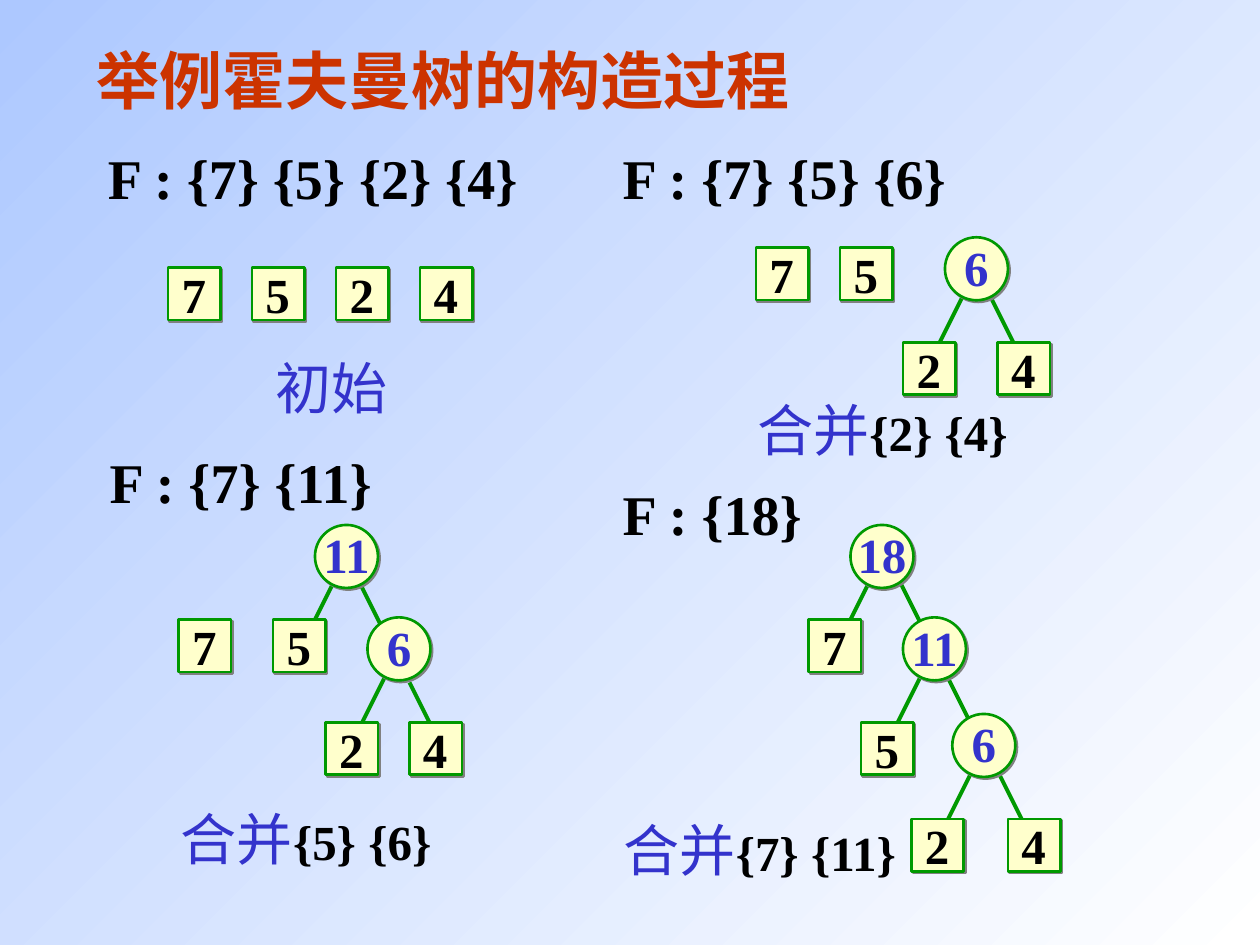
from lxml import etree
from pptx import Presentation
from pptx.dml.color import RGBColor
from pptx.enum.shapes import MSO_CONNECTOR, MSO_SHAPE
from pptx.enum.text import MSO_ANCHOR, MSO_AUTO_SIZE, PP_ALIGN
from pptx.oxml.ns import qn
from pptx.util import Inches, Pt

RECT, OVAL = MSO_SHAPE.RECTANGLE, MSO_SHAPE.OVAL
LINE = MSO_CONNECTOR.STRAIGHT
MID, FIT = MSO_ANCHOR.MIDDLE, MSO_AUTO_SIZE.SHAPE_TO_FIT_TEXT
LEFT, MAIN = PP_ALIGN.LEFT, PP_ALIGN.CENTER

COLORS = {"sky": "ADC8FF", "white": "FFFFFF", "title": "CC3300", "text": "000000",
          "blue": "3333CC", "node": "FFFFCC", "edge": "009900", "shade": "808080"}
FORMATS = {
    "title": {"size": 36, "bold": True, "color": "title"},
    "head": {"size": 32, "bold": True, "color": "text"},
    "step": {"size": 32, "bold": False, "color": "blue"},
    "leaf": {"size": 28, "bold": True, "color": "text"},
    "sum": {"size": 28, "bold": True, "color": "blue"},
}

# Content: all lengths are steps of a grid with twelve steps to the inch
TITLE = ("举例霍夫曼树的构造过程", (8, 3, 71, 8.75))
# Each stage: heading, caption, leaves and sums (label, column, row),
# and links (column, row, direction: -1 down left, 1 down right)
STAGES = [
    {"head": ("F : {7} {5} {2} {4}", (9, 13, 41.6)),
     "note": ("初始", "", (25, 33, 13.1)),
     "leaves": [("7", 16, 25.5), ("5", 24, 25.5), ("2", 32, 25.5), ("4", 40, 25.5)],
     "sums": [], "links": []},
    {"head": ("F : {7} {5} {6}", (58, 13, 33.4)),
     "note": ("合并", "{2} {4}", (70.3, 37, 27.5)),
     "leaves": [("7", 72, 23.6), ("5", 80, 23.6), ("2", 86, 32.6), ("4", 95, 32.6)],
     "sums": [("6", 90, 22.6)],
     "links": [(94, 27.6, 1), (92, 27.6, -1)]},
    {"head": ("F : {7} {11} ", (9, 42, 29.2)),
     "note": ("合并", "{5} {6}", (15.4, 76, 27.5)),
     "leaves": [("7", 17, 59), ("5", 26, 59), ("2", 31, 68.8), ("4", 39, 68.8)],
     "sums": [("6", 35, 58.8), ("11", 30, 50)],
     "links": [(32, 55, -1), (34, 55, 1), (39, 65, 1), (37, 63.8, -1)]},
    {"head": ("F : {18} ", (58, 45, 21)),
     "note": ("合并", "{7} {11}", (57.4, 77, 29.9)),
     "leaves": [("7", 77, 59), ("5", 82, 68.8), ("2", 86.8, 78), ("4", 96, 78)],
     "sums": [("11", 86, 58.8), ("18", 81, 50), ("6", 90.7, 68)],
     "links": [(83, 55, -1), (85, 54, 1), (90, 64, 1), (88, 63.8, -1),
               (94.8, 73, 1), (92.8, 73, -1)]},
]
ROW = 7.7              # height of headings and captions
LEG = (3, 6)           # run and drop of every link
# Node kinds: shape, side, label box (shift right, shift down, width, height)
KINDS = {"leaf": (RECT, 5, (0.1, -0.9, 4.7, 6.8)),
         "sum": (OVAL, 6, (-1, -0.6, 8, 6.8))}


def grid(*steps):
    return [Inches(step / 12) for step in steps]


def tint(name):
    return RGBColor.from_string(COLORS[name])


def write(shapes, box, runs, align=MAIN, wrap=False):
    frame = shapes.add_textbox(*grid(*box)).text_frame
    frame.word_wrap, frame.auto_size = wrap, FIT
    frame.vertical_anchor = MID
    para = frame.paragraphs[0]
    para.alignment = align
    for text, kind in runs:
        run = para.add_run()
        run.text = text
        run.font.name = "Times New Roman"
        for key, value in FORMATS[kind].items():
            if key == "color":
                run.font.color.rgb = tint(value)
            else:
                setattr(run.font, key, Pt(value) if key == "size" else value)
    return para


def effects(shape):
    shape.shadow.inherit = False
    return shape._element.spPr.find(qn("a:effectLst"))


def node(shapes, kind, col, row):
    form, side, _ = KINDS[kind]
    shape = shapes.add_shape(form, *grid(col, row, side, side))
    shape.fill.solid()
    shape.fill.fore_color.rgb = tint("node")
    shape.line.color.rgb = tint("edge")
    shape.line.width = Pt(1.5)
    shade = etree.SubElement(effects(shape), qn("a:outerShdw"), dist=str(Pt(1.4)),
                             dir="2700000", algn="ctr", rotWithShape="0")
    etree.SubElement(shade, qn("a:srgbClr"), val=COLORS["shade"])


def link(shapes, col, row, side):
    run, drop = LEG
    line = shapes.add_connector(LINE, *grid(col, row, col + side * run, row + drop))
    line.line.color.rgb = tint("edge")
    line.line.width = Pt(2.25)
    etree.SubElement(line._element.spPr, qn("a:effectLst"))


def tree(shapes, stage):
    for spot in stage["links"]:
        link(shapes, *spot)
    nodes = [("leaf", *leaf) for leaf in stage["leaves"]]
    nodes += [("sum", *top) for top in stage["sums"]]
    for kind, _, col, row in nodes:
        node(shapes, kind, col, row)
    for kind, text, col, row in nodes:
        right, down, wide, high = KINDS[kind][2]
        write(shapes, (col + right, row + down, wide, high), [(text, kind)],
              wrap=kind == "sum")


def main():
    deck = Presentation()
    deck.slide_width, deck.slide_height = Inches(10), Inches(7.5)
    slide = deck.slides.add_slide(deck.slide_layouts[6])

    # Background
    fill = slide.background.fill
    fill.gradient()
    fill.gradient_angle = 315
    for stop, name, place in zip(fill.gradient_stops, ("sky", "white"), (0, 1)):
        stop.color.rgb = tint(name)
        stop.position = place

    # Stages
    for stage in STAGES:
        text, box = stage["head"]
        write(slide.shapes, (*box, ROW), [(text, "head")])
        word, sets, box = stage["note"]
        runs = [(word, "step")] + ([(sets, "leaf")] if sets else [])
        write(slide.shapes, (*box, ROW), runs)
        tree(slide.shapes, stage)

    # Title
    text, box = TITLE
    write(slide.shapes, box, [(text, "title")], LEFT, True).line_spacing = 1.05

    deck.save("out.pptx")


if __name__ == "__main__":
    main()
